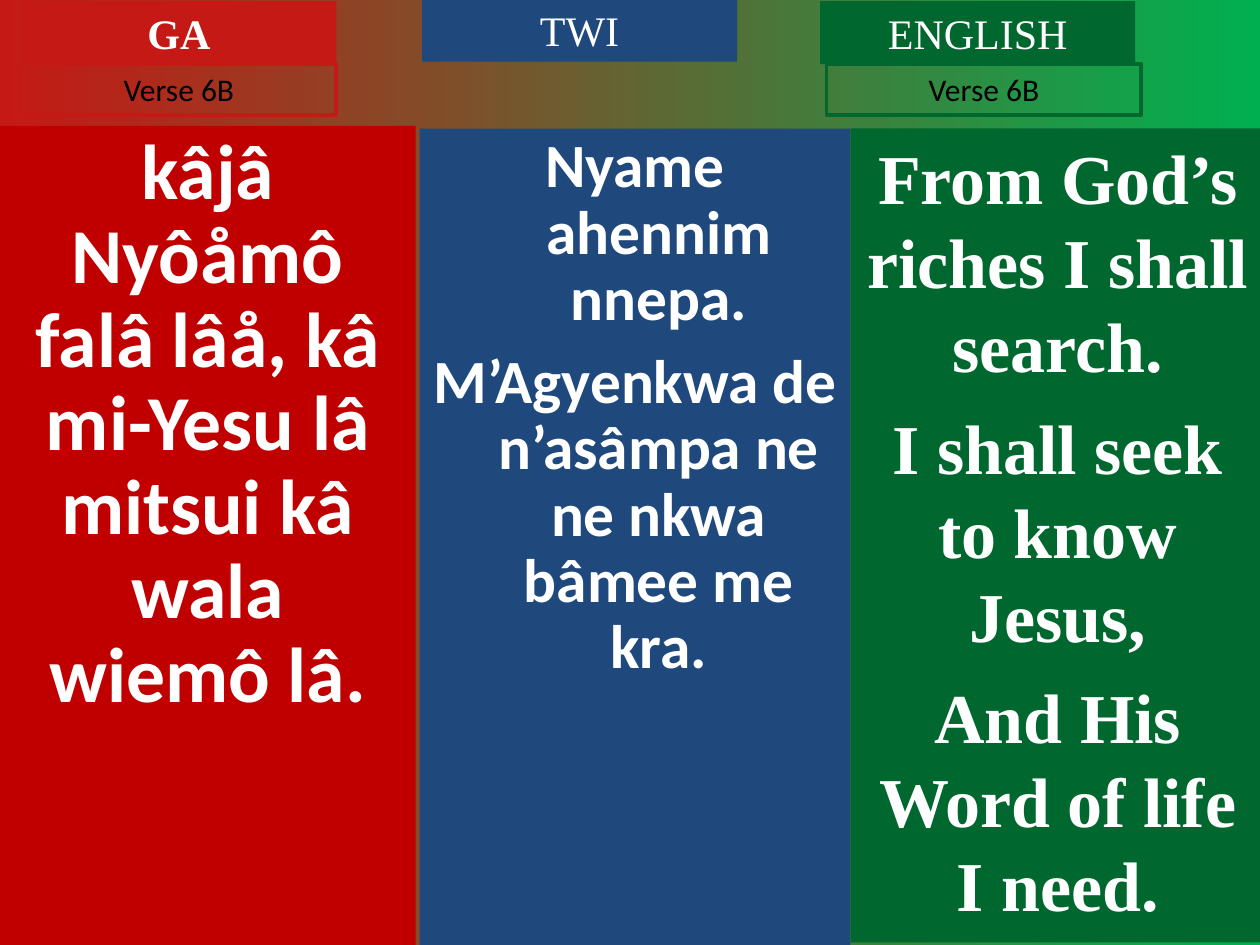
from dataclasses import dataclass

import pptx
import pptx.dml.color
import pptx.enum.shapes
import pptx.enum.text
import pptx.util

Pt = pptx.util.Pt
COLORS = {
    "ga": "C00000",
    "ga_label": "C51915",
    "twi": "1F497D",
    "english": "00682F",
    "background_end": "00B050",
    "white": "FFFFFF",
    "black": "000000",
}


@dataclass(frozen=True)
class Panel:
    left: float
    top: float
    width: float
    height: float
    color: str
    lines: tuple[str, ...]
    size: float
    font: str = "Times New Roman"
    bold: bool = False
    outlined: bool = False
    grows: bool = False
    line_spacing: float = 1.0
    space_before: float = 0
    hanging: float = 0


def header(left: float, top: float, color: str, language: str, bold: bool = False) -> Panel:
    return Panel(left, top, 180, 36, color, (language,), 24, bold=bold, grows=True)


def verse_tag(left: float, color: str) -> Panel:
    return Panel(left, 36.72, 180, 28.8, color, ("Verse 6B",), 18,
                 font="Calibri", outlined=True, grows=True)


PANELS = (
    Panel(0, 72, 237.6, 468, "ga",
          ("kâjâ Nyôåmô falâ lâå, kâ mi-Yesu lâ mitsui kâ wala wiemô lâ.",),
          44.4, font="Calibri", bold=True, line_spacing=0.9),
    Panel(239.76, 73.44, 246.24, 466.56, "twi",
          ("Nyame ahennim nnepa.", "M’Agyenkwa de n’asâmpa ne ne nkwa bâmee me kra."),
          35.1, font="Calibri", bold=True, line_spacing=0.9, space_before=9.5, hanging=27),
    header(12.24, 0.72, "ga_label", "GA", bold=True),
    header(241.2, -0.72, "twi", "TWI"),
    verse_tag(12.24, "ga_label"),
    Panel(486, 73.44, 236.88, 465.12, "english",
          ("From God’s riches I shall search.", "I shall seek to know Jesus,",
           "And His Word of life I need."),
          40, bold=True, space_before=10),
    header(468.72, 0.72, "english", "ENGLISH"),
    verse_tag(472.32, "english"),
)


def rgb(name: str) -> pptx.dml.color.RGBColor:
    return pptx.dml.color.RGBColor.from_string(COLORS[name])


def draw_background(page) -> None:
    fill = page.background.fill
    fill.gradient()
    fill.gradient_angle = 0
    for stop, position, color in zip(fill.gradient_stops, (0, 1), ("ga_label", "background_end")):
        stop.position = position
        stop.color.rgb = rgb(color)


def draw_panel(page, panel: Panel) -> None:
    box = page.shapes.add_shape(
        pptx.enum.shapes.MSO_SHAPE.RECTANGLE,
        Pt(panel.left), Pt(panel.top), Pt(panel.width), Pt(panel.height))
    box.shadow.inherit = False
    if panel.outlined:
        box.fill.background()
        box.line.color.rgb = rgb(panel.color)
        box.line.width = Pt(2.25)
    else:
        box.fill.solid()
        box.fill.fore_color.rgb = rgb(panel.color)
        box.line.fill.background()
    frame = box.text_frame
    frame.word_wrap = True
    frame.vertical_anchor = pptx.enum.text.MSO_ANCHOR.TOP
    if panel.grows:
        frame.auto_size = pptx.enum.text.MSO_AUTO_SIZE.SHAPE_TO_FIT_TEXT
    for index, line in enumerate(panel.lines):
        para = frame.add_paragraph() if index else frame.paragraphs[0]
        para.alignment = pptx.enum.text.PP_ALIGN.CENTER
        para.line_spacing = panel.line_spacing
        para.space_before = Pt(panel.space_before if index else 0)
        if panel.hanging:
            properties = para._p.get_or_add_pPr()
            properties.set("marL", str(Pt(panel.hanging)))
            properties.set("indent", str(-Pt(panel.hanging)))
        span = para.add_run()
        span.text = line
        span.font.name = panel.font
        span.font.size = Pt(panel.size)
        span.font.bold = panel.bold
        span.font.color.rgb = rgb("black" if panel.outlined else "white")


def main() -> None:
    """Build the three-language hymn verse slide."""
    deck = pptx.Presentation()
    deck.slide_width, deck.slide_height = Pt(720), Pt(540)
    page = deck.slides.add_slide(deck.slide_layouts[6])
    draw_background(page)
    for panel in PANELS:
        draw_panel(page, panel)
    deck.save("out.pptx")


if __name__ == "__main__":
    main()
